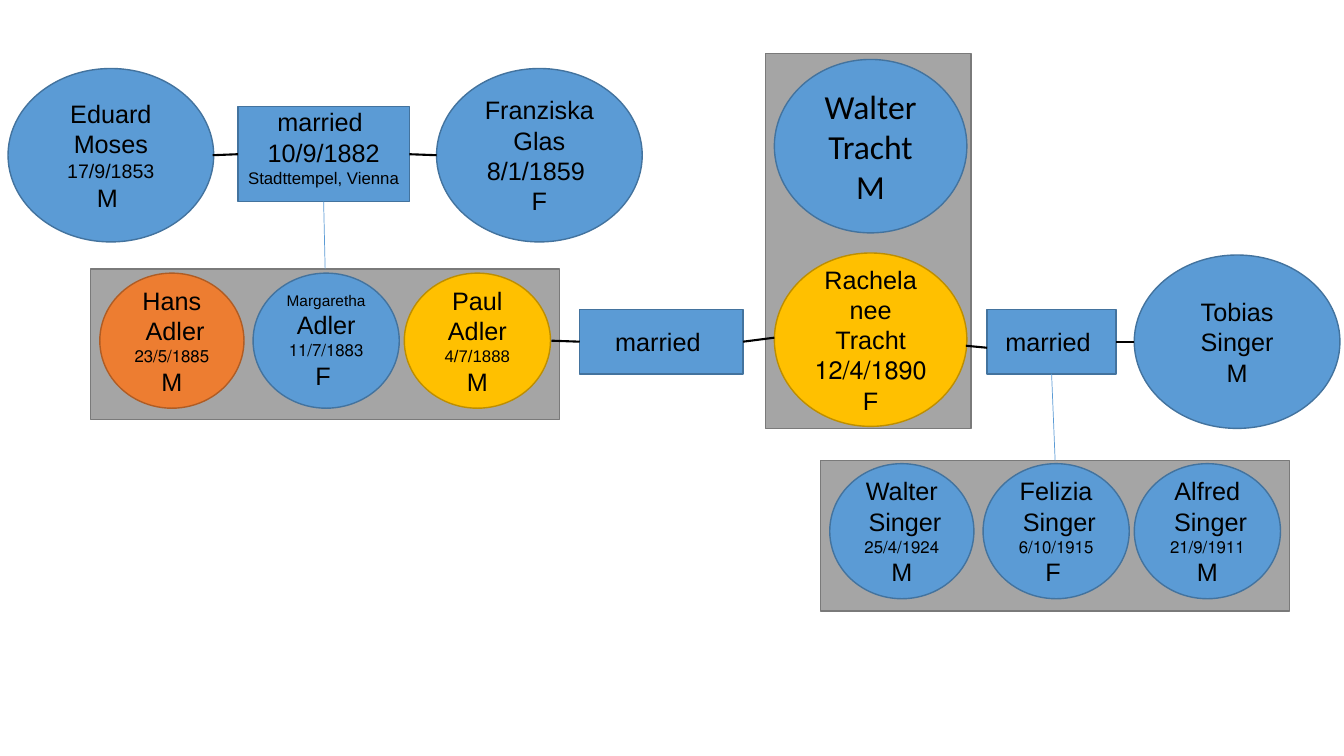
from pptx import Presentation
from pptx.dml.color import RGBColor
from pptx.enum.shapes import MSO_CONNECTOR, MSO_SHAPE
from pptx.enum.text import MSO_ANCHOR, PP_ALIGN
from pptx.oxml.ns import qn
from pptx.util import Inches, Pt
from lxml import etree

COLORS = {"blue": "5B9BD5", "orange": "ED7D31", "gold": "FFC000", "gray": "A5A5A5", "black": "000000"}
OUTLINES = {"blue": "43739E", "orange": "AF5C24", "gold": "BD8E00", "gray": "7A7A7A"}
TOP, LEFT, BOTTOM, RIGHT = range(4)

prs = Presentation()
prs.slide_width, prs.slide_height = Inches(13.33), Inches(7.5)
shapes = prs.slides.add_slide(prs.slide_layouts[6]).shapes


def add_node(kind, box, color, lines=(), rtl=False, font="Arial"):
    """Draw a filled shape with one centred paragraph per (text, size) pair."""
    sp = shapes.add_shape(kind, *map(Inches, box))
    sp.shadow.inherit = False
    sp.fill.solid()
    sp.fill.fore_color.rgb = RGBColor.from_string(COLORS[color])
    sp.line.color.rgb = RGBColor.from_string(OUTLINES[color])
    sp.line.width = Pt(1)
    tf = sp.text_frame
    tf.word_wrap = True
    tf.vertical_anchor = MSO_ANCHOR.MIDDLE
    for i, (text, size) in enumerate(lines):
        p = tf.add_paragraph() if i else tf.paragraphs[0]
        p.text = text
        p.alignment = PP_ALIGN.CENTER
        p.font.name = font
        p.font.size = Pt(size)
        p.font.color.rgb = RGBColor.from_string(COLORS["black"])
        if rtl:
            p._p.get_or_add_pPr().set("rtl", "1")
    return sp


def add_link(start, end, color="black", width=1.5):
    """Join two ends, each an (x, y) point or a (shape, side) pair."""
    is_point = [isinstance(e[0], (int, float)) for e in (start, end)]
    x1, y1 = start if is_point[0] else (0, 0)
    x2, y2 = end if is_point[1] else (0, 0)
    cxn = shapes.add_connector(MSO_CONNECTOR.STRAIGHT, *map(Inches, (x1, y1, x2, y2)))
    if not is_point[0]:
        cxn.begin_connect(*start)
    if not is_point[1]:
        cxn.end_connect(*end)
    cxn.line.color.rgb = RGBColor.from_string(COLORS[color])
    cxn.line.width = Pt(width)
    etree.SubElement(cxn._element.spPr, qn("a:effectLst"))


# Gray family panels
PANEL_W, PANEL_H = 4.65, 1.49
adler_panel = add_node(MSO_SHAPE.RECTANGLE, (0.9, 2.67, PANEL_W, PANEL_H), "gray")
singer_panel = add_node(MSO_SHAPE.RECTANGLE, (8.14, 4.57, PANEL_W, PANEL_H), "gray")
add_node(MSO_SHAPE.RECTANGLE, (7.59, 0.53, 2.04, 3.72), "gray")

# Parents and spouses: left, top, width, colour, lines, right-to-left, font
adults = [
    (0.08, 0.68, 2.04, "blue", [("Eduard Moses", 18), ("17/9/1853", 14), ("M ", 18)], False, "Arial"),
    (4.33, 0.68, 2.04, "blue", [("Franziska Glas", 18), ("8/1/1859 ", 18), ("F", 18)], False, "Arial"),
    (7.68, 0.59, 1.91, "blue", [("Walter Tracht", 24), ("M", 24)], False, "Calibri"),
    (7.68, 2.51, 1.91, "gold", [("Rachela nee Tracht", 18), ("12/4/1890", 18), ("F", 18)], True, "Arial"),
    (11.25, 2.53, 2.04, "blue", [("Tobias Singer", 18), ("M", 18)], True, "Arial"),
]
for left, top, width, color, lines, rtl, font in adults:
    add_node(MSO_SHAPE.OVAL, (left, top, width, 1.72), color, lines, rtl, font)

# Children, three to a panel
SLOTS = [(0.09, 1.43), (1.61, 1.45), (3.11, 1.45)]
adlers = [
    ("orange", [("Hans", 18), ("Adler ", 18), ("23/5/1885", 12), ("M", 18)], True),
    ("blue", [("Margaretha", 11), ("Adler", 18), ("11/7/1883", 12), (" F", 18)], True),
    ("gold", [("Paul Adler", 18), ("4/7/1888", 12), ("M", 18)], False),
]
singers = [
    ("blue", [(name, 18), ("Singer ", 18), (born, 12), (sex, 18)], True)
    for name, born, sex in [("Walter", "25/4/1924", "M"), ("Felizia", "6/10/1915", " F"),
                            ("Alfred", "21/9/1911", "M")]
]
for panel_left, top, children in [(0.9, 2.71, adlers), (8.14, 4.6, singers)]:
    for (dx, width), (color, lines, rtl) in zip(SLOTS, children):
        add_node(MSO_SHAPE.OVAL, (panel_left + dx, top, width, 1.34), color, lines, rtl)

# Marriages
moses_wedding = add_node(MSO_SHAPE.RECTANGLE, (2.36, 1.06, 1.7, 0.94), "blue",
                         [("married ", 18), ("10/9/1882", 18), ("Stadttempel, Vienna ", 12)])
moses_wedding.text_frame.vertical_anchor = MSO_ANCHOR.TOP
moses_wedding.text_frame.margin_top = 0
adler_wedding = add_node(MSO_SHAPE.RECTANGLE, (5.75, 3.07, 1.62, 0.64), "blue", [("married ", 18)])
singer_wedding = add_node(MSO_SHAPE.RECTANGLE, (9.79, 3.07, 1.28, 0.64), "blue", [("married ", 18)])

# Spouse links, then descent links
add_link((4.33, 1.54), (moses_wedding, RIGHT))
add_link((moses_wedding, LEFT), (2.11, 1.54))
add_link((5.47, 3.38), (adler_wedding, LEFT))
add_link((7.68, 3.35), (adler_wedding, RIGHT))
add_link((9.79, 3.45), (9.58, 3.43))
add_link((11.25, 3.39), (singer_wedding, RIGHT))
add_link((moses_wedding, BOTTOM), (adler_panel, TOP), "blue", 0.5)
add_link((singer_wedding, BOTTOM), (singer_panel, TOP), "blue", 0.5)

prs.save("out.pptx")
